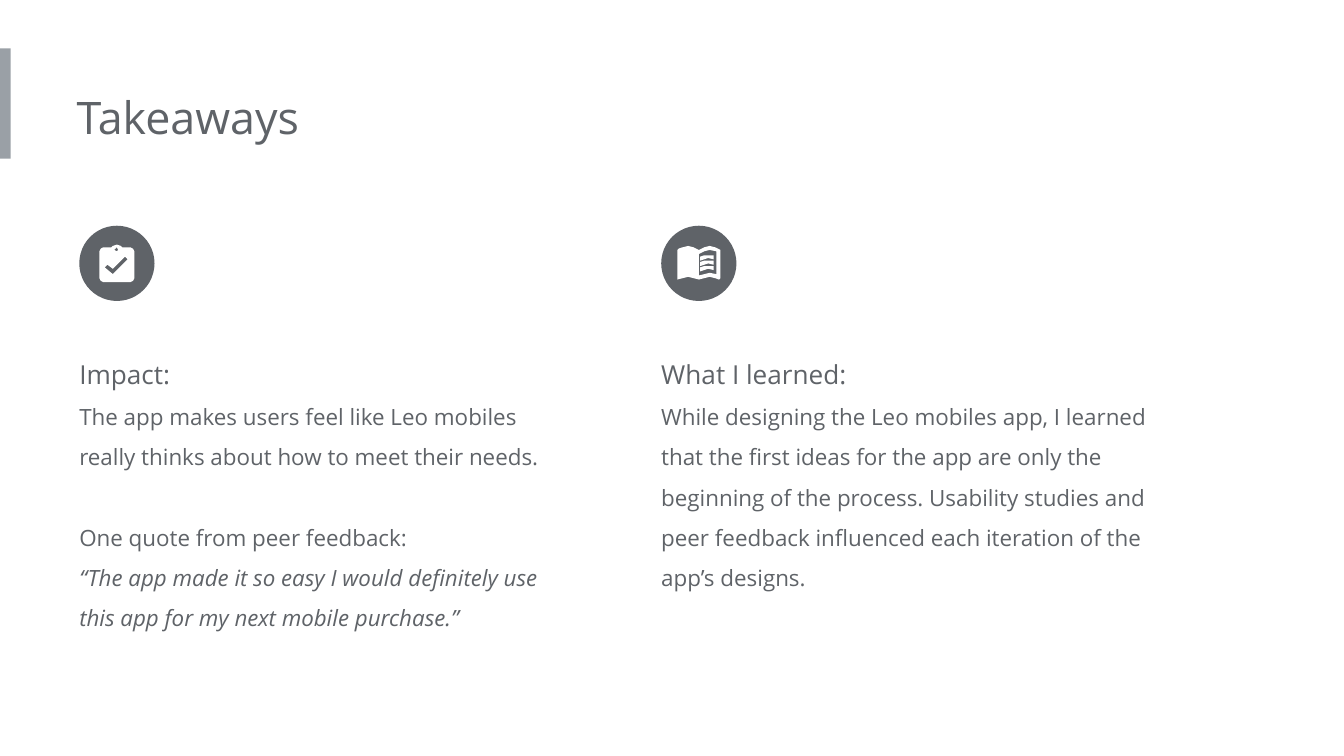
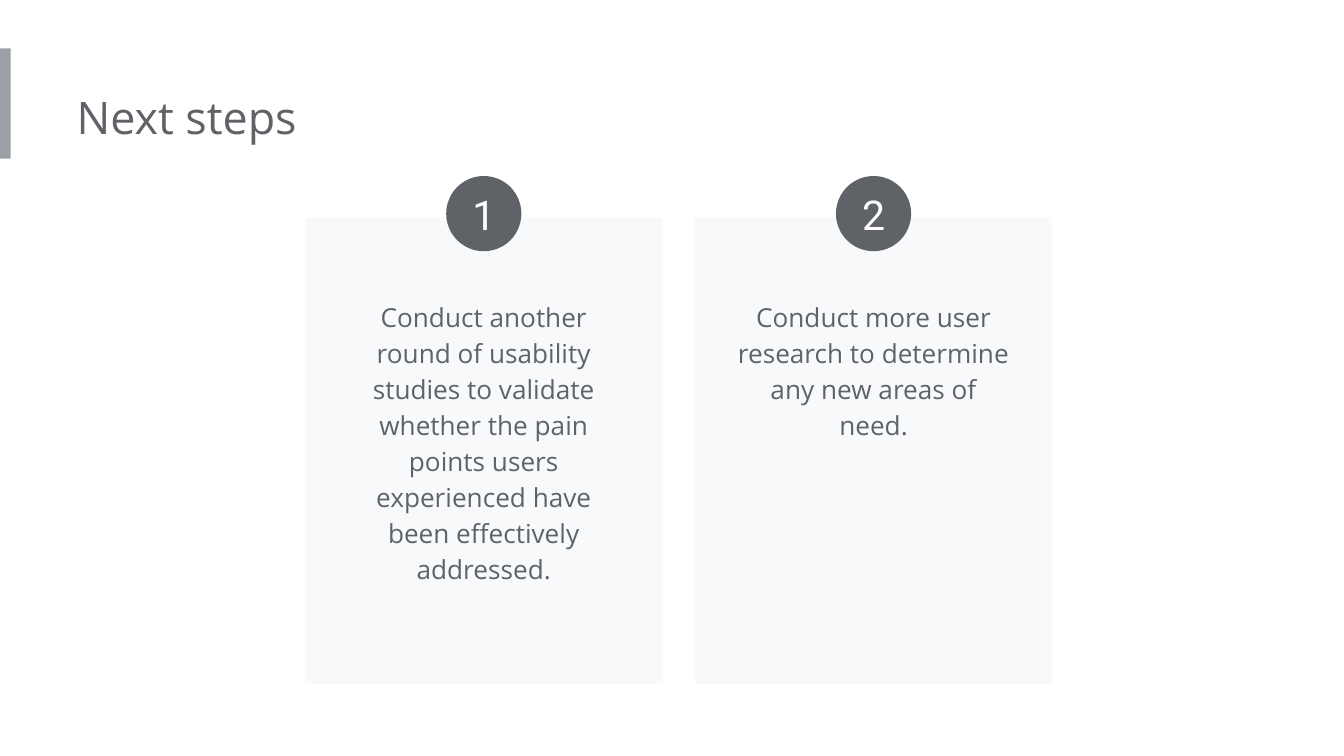
"""Build the takeaways and next steps slides."""
from pptx import Presentation, util as u
from pptx.dml.color import RGBColor
from pptx.enum import shapes, text

C = {"ink": "5F6368", "bar": "9AA0A6", "card": "F8F9FA", "white": "FFFFFF"}
RECT, OVAL = shapes.MSO_SHAPE.RECTANGLE, shapes.MSO_SHAPE.OVAL
TITLE = {"size": u.Pt(24), "name": "Open Sans"}
HEAD = {"size": u.Pt(14), "name": "Open Sans"}
BODY = {"size": u.Pt(12), "name": "Open Sans"}
QUOTE = {**BODY, "italic": True}
NUMBER = {"size": u.Pt(22), "name": "Roboto"}
DOT = 0.56


def paint(sp, fill):
    sp.shadow.inherit = False
    sp.fill.solid()
    sp.fill.fore_color.rgb = RGBColor.from_string(C[fill])
    sp.line.fill.background()
    return sp


def write(sp, paras, left=0.0, pad=0.1, color="ink", **para_format):
    tf = sp.text_frame
    tf.word_wrap = True
    tf.margin_left = u.Inches(left)
    tf.margin_top = tf.margin_right = tf.margin_bottom = u.Inches(pad)
    for i, (words, font, before) in enumerate(paras):
        p = tf.paragraphs[0] if i == 0 else tf.add_paragraph()
        for key, value in {**para_format, "space_before": u.Pt(before)}.items():
            setattr(p, key, value)
        r = p.add_run()
        r.text = words
        for key, value in font.items():
            setattr(r.font, key, value)
        r.font.color.rgb = RGBColor.from_string(C[color])
    return tf


prs = Presentation()
prs.slide_width, prs.slide_height = u.Inches(10), u.Inches(10 * 9 / 16)

slides = []
for title in ("Takeaways", "Next steps"):
    s = prs.slides.add_slide(prs.slide_layouts[6])
    paint(s.shapes.add_shape(RECT, *map(u.Inches, (0, 0.36, 0.08, 0.82))), "bar")
    tb = s.shapes.add_textbox(*map(u.Inches, (0.57, 0.57, 5.39, 0.61)))
    write(tb, [(title, TITLE, 0)])
    slides.append(s)
takeaways, steps = slides

columns = [
    (0.59, 2.27, [
        ("Impact:", HEAD, 0),
        ("The app makes users feel like Leo mobiles really thinks about how to "
         "meet their needs.", BODY, 0),
        ("One quote from peer feedback:", BODY, 21.5),
        ("“The app made it so easy I would definitely use this app for my next "
         "mobile purchase.”", QUOTE, 0)]),
    (4.92, 1.97, [
        ("What I learned:", HEAD, 0),
        ("While designing the Leo mobiles app, I learned that the first ideas for "
         "the app are only the beginning of the process. Usability studies and peer "
         "feedback influenced each iteration of the app’s designs.", BODY, 0)]),
]
for x, height, paras in columns:
    tb = takeaways.shapes.add_textbox(*map(u.Inches, (x, 2.45, 3.77, height)))
    write(tb, paras, line_spacing=1.5)
    paint(takeaways.shapes.add_shape(OVAL, *map(u.Inches, (x, 1.68, DOT, DOT))), "ink")

board = [(0.97, 1.84), (0.91, 1.84), (0.9, 1.83), (0.87, 1.82), (0.84, 1.83),
         (0.83, 1.84), (0.77, 1.84), (0.75, 1.85), (0.74, 1.87), (0.74, 2.07),
         (0.75, 2.09), (0.77, 2.1), (0.97, 2.1), (0.99, 2.09), (1, 2.07),
         (1, 1.87), (0.99, 1.85)]
clip_hole = [(0.87, 1.84), (0.88, 1.86), (0.87, 1.87), (0.85, 1.86)]
tick = [(0.84, 2.04), (0.78, 1.99), (0.8, 1.97), (0.84, 2), (0.93, 1.91), (0.95, 1.93)]
book = [(5.12, 1.83), (5.08, 1.84), (5.05, 1.85), (5.04, 1.86), (5.04, 2.08),
        (5.08, 2.07), (5.12, 2.06), (5.16, 2.07), (5.2, 2.08), (5.24, 2.07),
        (5.28, 2.06), (5.32, 2.07), (5.35, 2.08), (5.36, 2.07), (5.36, 1.86),
        (5.32, 1.84), (5.28, 1.83), (5.24, 1.84), (5.2, 1.86), (5.16, 1.84)]
page = [(5.28, 1.86), (5.33, 1.87), (5.33, 2.04), (5.28, 2.03), (5.24, 2.04),
        (5.2, 2.05), (5.2, 1.89), (5.24, 1.87)]
text_line = [(5.27, 0), (5.24, 0), (5.21, 0.01), (5.21, 0.04), (5.24, 0.03),
             (5.27, 0.02), (5.31, 0.03), (5.31, 0)]
icons = [[board, clip_hole, tick], [book, page]]
icons += [[[(x, top + y) for x, y in text_line]] for top in (1.9, 1.94, 1.98)]
for contours in icons:
    fb = None
    for contour in contours:
        points = [(round(x * 100), round(y * 100)) for x, y in contour]
        if fb is None:
            fb = takeaways.shapes.build_freeform(*points[0], scale=u.Inches(0.01))
        else:
            fb.move_to(*points[0])
        fb.add_line_segments(points[1:], close=True)
    paint(fb.convert_to_shape(), "white")

cards = [
    ("Conduct another round of usability studies to validate whether the pain points "
     "users experienced have been effectively addressed.", 2.33),
    ("Conduct more user research to determine any new areas of need.", 1.25),
]
for i, (words, height) in enumerate(cards):
    x = 2.27 + i * 2.9
    paint(steps.shapes.add_shape(RECT, *map(u.Inches, (x, 1.62, 2.66, 3.47))), "card")
    tb = steps.shapes.add_textbox(*map(u.Inches, (x + 0.21, 2.11, 2.24, height)))
    write(tb, [(words, HEAD, 0)], left=0.1, line_spacing=1.15,
          alignment=text.PP_ALIGN.CENTER)
    dot = steps.shapes.add_shape(
        OVAL, *map(u.Inches, (x + (2.66 - DOT) / 2, 1.31, DOT, DOT)))
    tf = write(paint(dot, "ink"), [(str(i + 1), NUMBER, 0)], pad=0, color="white",
               alignment=text.PP_ALIGN.CENTER)
    tf.vertical_anchor = text.MSO_ANCHOR.MIDDLE

prs.save("out.pptx")
